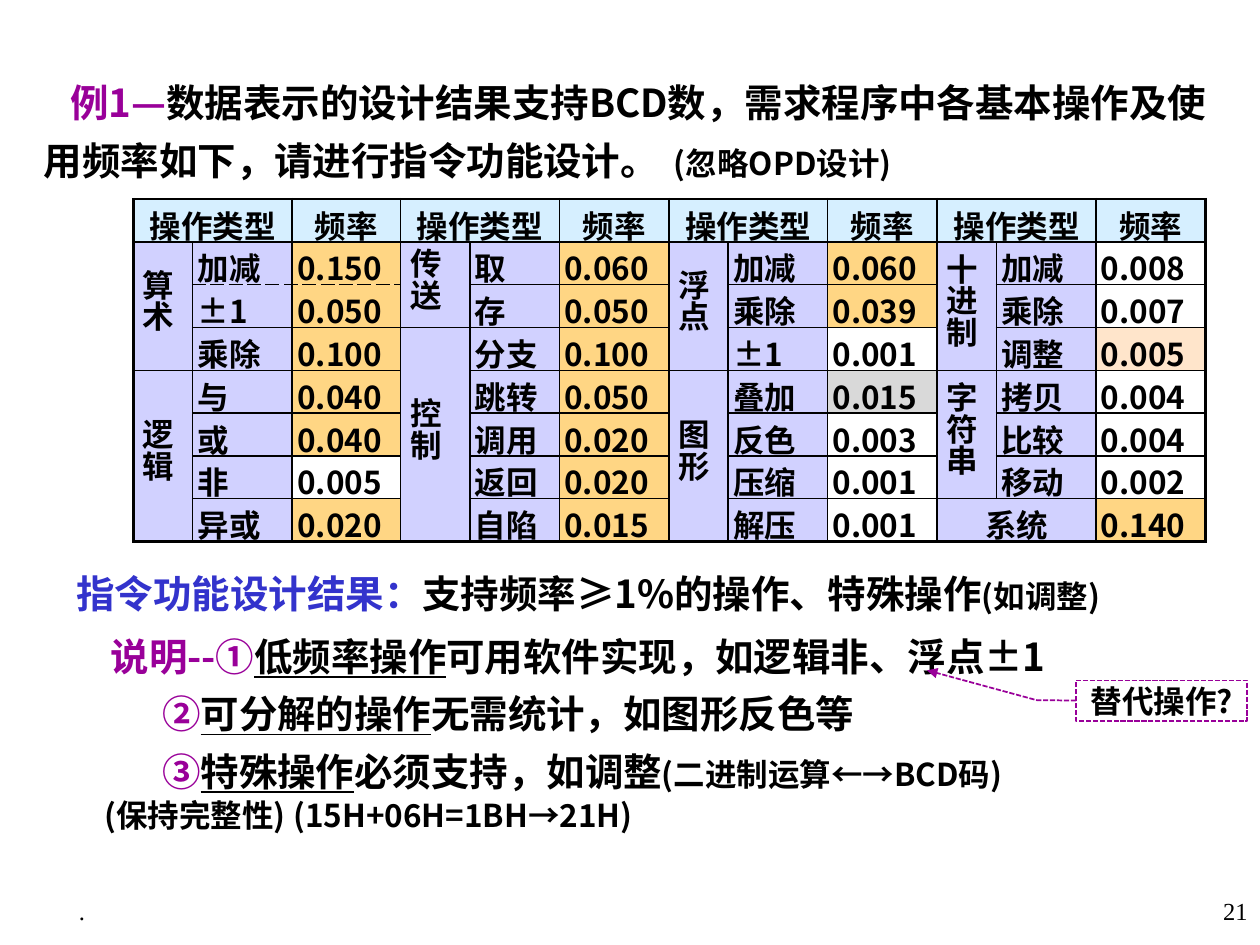
from lxml.etree import SubElement
from pptx import Presentation
from pptx.dml.color import RGBColor
from pptx.enum.dml import MSO_LINE
from pptx.enum.shapes import MSO_SHAPE
from pptx.enum.text import MSO_ANCHOR, PP_ALIGN
from pptx.oxml import parse_xml
from pptx.oxml.ns import nsdecls, qn
from pptx.util import Inches, Pt

COLORS = {
    "black": "000000", "purple": "990099", "blue": "3333CC",
    "header": "CCECFF", "label": "CCCCFF", "frequent": "FFCC66",
    "special": "FFCC99", "gray": "D9D9D9",
}
OPACITY = {"header": 80, "label": 90, "frequent": 80, "special": 50, "gray": 100}
SANS, SERIF = "Noto Sans CJK SC", "Times New Roman"


def add_runs(paragraph, runs, face=SANS, bold=True):
    for text, size, color, *underline in runs:
        run = paragraph.add_run()
        run.text = text
        formats = {"size": Pt(size), "bold": bold, "name": face}
        if underline:
            formats["underline"] = True
        for key, value in formats.items():
            setattr(run.font, key, value)
        run.font.color.rgb = RGBColor.from_string(COLORS[color])
        SubElement(run.font._element, qn("a:ea"), typeface=face)


def add_text(slide, box, paragraphs, face=SANS, bold=True):
    frame = slide.shapes.add_textbox(*map(Inches, box)).text_frame
    frame.word_wrap = True
    for i, (formats, indent, tabs, runs) in enumerate(paragraphs):
        paragraph = frame.paragraphs[0] if i == 0 else frame.add_paragraph()
        for key, value in formats.items():
            setattr(paragraph, key, value)
        properties = paragraph._p.get_or_add_pPr()
        properties.set("marL", "0")
        properties.set("indent", str(Inches(indent)))
        if tabs:
            stops = SubElement(properties, qn("a:tabLst"))
            for tab in tabs:
                SubElement(stops, qn("a:tab"), pos=str(Inches(tab)), algn="l")
        add_runs(paragraph, runs, face, bold)


prs = Presentation()
prs.slide_width, prs.slide_height = Inches(10), Inches(7.5)
slide = prs.slides.add_slide(prs.slide_layouts[6])

add_text(slide, (8.86, 7.06, 1.14, 0.39),
         [({"alignment": PP_ALIGN.RIGHT}, 0, (), [("21", 14, "black")])], SERIF, False)
add_text(slide, (0, 7.06, 1.3, 0.39),
         [({"alignment": PP_ALIGN.CENTER}, 0, (), [(".", 14, "black")])], SERIF, False)

spaced = {"line_spacing": 1.25}
add_text(slide, (0.25, 0.49, 9.55, 0.96), [
    (spaced, 0.21, (5.43,), [
        ("例1—", 22, "purple"),
        ("数据表示的设计结果支持BCD数，需求程序中各基本操作及使用频率如下，请进行指令功能设计。\t", 22, "black"),
        ("(忽略OPD设计)", 18, "black")]),
])

operations = [
    ["操作类型", "", "频率"] * 4,
    ["算术", "加减", "0.150", "传送", "取", "0.060", "浮点", "加减", "0.060", "十进制", "加减", "0.008"],
    ["", "±1", "0.050", "", "存", "0.050", "", "乘除", "0.039", "", "乘除", "0.007"],
    ["", "乘除", "0.100", "控制", "分支", "0.100", "", "±1", "0.001", "", "调整", "0.005"],
    ["逻辑", "与", "0.040", "", "跳转", "0.050", "图形", "叠加", "0.015", "字符串", "拷贝", "0.004"],
    ["", "或", "0.040", "", "调用", "0.020", "", "反色", "0.003", "", "比较", "0.004"],
    ["", "非", "0.005", "", "返回", "0.020", "", "压缩", "0.001", "", "移动", "0.002"],
    ["", "异或", "0.020", "", "自陷", "0.015", "", "解压", "0.001", "系统", "", "0.140"],
]
group_spans = [(1, 0, 3), (4, 0, 4), (1, 3, 2), (3, 3, 5),
               (1, 6, 3), (4, 6, 4), (1, 9, 3), (4, 9, 3)]
group_cells = [(r, c) for r, c, height in group_spans]
pair_spans = [(0, column) for column in range(0, 12, 3)] + [(7, 9)]
exceptions = {"叠加": "gray", "调整": "special"}
widths = [0.47, 0.79, 0.86, 0.55, 0.71, 0.87] + [0.47, 0.79, 0.87] * 2
row_count, column_count = len(operations), len(widths)

frequencies = slide.shapes.add_table(
    row_count, column_count, Inches(1.06), Inches(1.58), Inches(8.51), Inches(2.72)).table
frequencies.first_row = frequencies.horz_banding = False
frequencies._tbl.tblPr.find(qn("a:tableStyleId")).text = "{2D5ABB26-0587-4C30-8999-92F81FD0307C}"
for column, width in zip(frequencies.columns, widths):
    column.width = Inches(width)
for row in frequencies.rows:
    row.height = Inches(0.34)
for r, c, height in group_spans:
    frequencies.cell(r, c).merge(frequencies.cell(r + height - 1, c))
for r, c in pair_spans:
    frequencies.cell(r, c).merge(frequencies.cell(r, c + 1))

for r, values in enumerate(operations):
    for c, value in enumerate(values):
        cell = frequencies.cell(r, c)
        if cell.is_spanned:
            continue
        is_group = (r, c) in group_cells
        margins = {"margin_left": 0.04, "margin_right": widths[c] - 0.36 if is_group else 0.04,
                   "margin_top": 0.02, "margin_bottom": 0.02}
        for key, size in margins.items():
            setattr(cell, key, Inches(size))
        cell.vertical_anchor = MSO_ANCHOR.MIDDLE
        paragraph = cell.text_frame.paragraphs[0]
        if r == 0 or c % 3 == 0:
            paragraph.alignment = PP_ALIGN.CENTER
        properties = cell._tc.get_or_add_tcPr()
        if is_group:
            properties.set("vert", "eaVert")
            paragraph.line_spacing = Pt(18)
        add_runs(paragraph, [(value, 18, "black")])

        if r == 0:
            fill = "header"
        elif c % 3 < 2:
            fill = "label"
        else:
            fill = exceptions.get(values[c - 1], "frequent" if float(value) >= 0.01 else None)
        if fill:
            cell.fill.solid()
            cell.fill.fore_color.rgb = RGBColor.from_string(COLORS[fill])
            SubElement(properties.find(".//" + qn("a:srgbClr")), qn("a:alpha"),
                       val=str(OPACITY[fill] * 1000))
        else:
            cell.fill.background()

        bottom_row = r + (cell.span_height if cell.is_merge_origin else 1)
        outer = {"L": c == 0, "R": c == column_count - 1, "T": r == 0, "B": bottom_row == row_count}
        dashed = {"B": r == 1 and c in (1, 2), "T": r == 2 and c in (1, 2)}
        for i, (side, is_outer) in enumerate(outer.items()):
            width = Pt(1.5 if is_outer else 1)
            dash = "dash" if dashed.get(side) else "solid"
            properties.insert(i, parse_xml(
                f'<a:ln{side} {nsdecls("a")} w="{width}"><a:solidFill>'
                f'<a:srgbClr val="{COLORS["black"]}"/></a:solidFill>'
                f'<a:prstDash val="{dash}"/></a:ln{side}>'))

add_text(slide, (0.23, 4.38, 9.57, 2.28), [
    (spaced, 0.28, (), [
        ("指令功能设计结果：", 22, "blue"),
        ("支持频率≥1%的操作、特殊操作", 22, "black"), ("(如调整)", 18, "black")]),
    ({**spaced, "space_before": Pt(3)}, 0.55, (), [
        ("说明--①", 22, "purple"), ("低频率操作", 22, "black", True),
        ("可用软件实现，如逻辑非、浮点±1", 22, "black")]),
    (spaced, 0.96, (), [
        ("②", 22, "purple"), ("可分解的操作", 22, "black", True),
        ("无需统计，如图形反色等", 22, "black")]),
    (spaced, 0.96, (), [
        ("③", 22, "purple"), ("特殊操作", 22, "black", True),
        ("必须支持，如调整", 22, "black"), ("(二进制运算←→BCD码)", 18, "black")]),
    ({"line_spacing": 1.05}, 0, (1.14, 3.65), [
        ("\t(保持完整性)\t(15H+06H=1BH→21H)", 18, "black")]),
])

substitute = slide.shapes.add_shape(
    MSO_SHAPE.LINE_CALLOUT_2, Inches(8.54), Inches(5.4), Inches(1.36), Inches(0.32))
for i, value in enumerate([0.5, 0, 0.49, -0.23, -0.25, -0.87]):
    substitute.adjustments[i] = value
substitute.shadow.inherit = False
substitute.fill.background()
substitute.line.color.rgb = RGBColor.from_string(COLORS["purple"])
substitute.line.width = Pt(1)
substitute.line.dash_style = MSO_LINE.SQUARE_DOT
SubElement(substitute.line._get_or_add_ln(), qn("a:tailEnd"), type="triangle")
note = substitute.text_frame
note_formats = {
    "margin_left": Inches(0.02), "margin_right": Inches(0.02),
    "margin_top": Inches(0.01), "margin_bottom": Inches(0.01),
    "vertical_anchor": MSO_ANCHOR.MIDDLE, "word_wrap": True,
}
for key, value in note_formats.items():
    setattr(note, key, value)
note.paragraphs[0].alignment = PP_ALIGN.CENTER
add_runs(note.paragraphs[0], [("替代操作?", 18, "black")])

prs.save("out.pptx")
